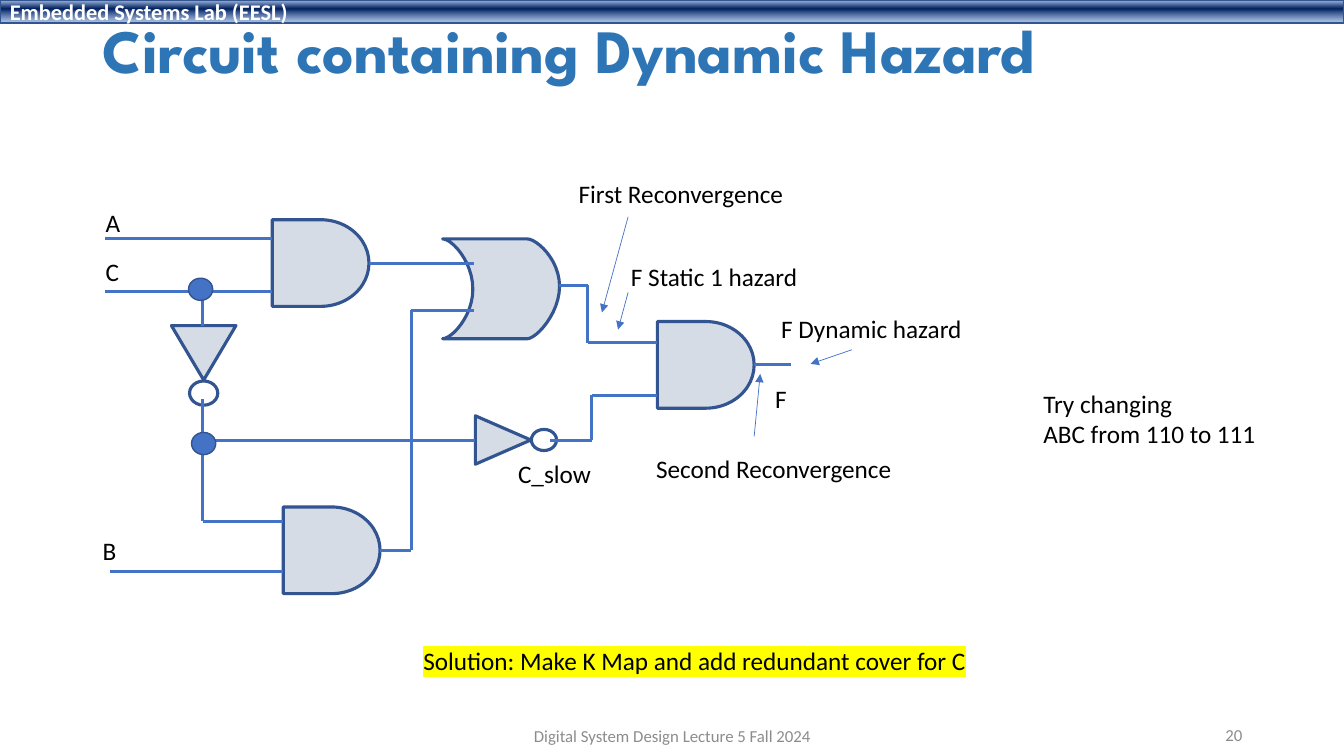
from lxml import etree
from pptx import Presentation
from pptx import util as u
from pptx.dml.color import RGBColor
from pptx.enum import shapes, text
from pptx.oxml.ns import qn

THEME = {
    "body_font": "Calibri", "title_font": "League Spartan",
    "title": "2E75B6", "ink": "000000", "muted": "8C8C8C", "paper": "FFFFFF",
    "wire": "4472C4", "outline": "325491", "gate": "D6DCE5", "mark": "FFFF00",
    "title_size": 44, "header_size": 16, "label_size": 18, "footer_size": 12,
    "gate_line": 2.25, "thin_line": 1, "arrow_line": 0.5,
    "header_stops": [(2, "ABC0E4", 100), (38, "002060", 100), (93, "7E9ED6", 64)],
}

HEADER = "Embedded Systems Lab (EESL)"
TITLE = ("Circuit containing Dynamic Hazard", (0.92, 0.15, 11.5, 0.77))
FOOTERS = [
    ("20", (9.42, 7.09, 3, 0.4), text.PP_ALIGN.RIGHT),
    ("Digital System Design Lecture 5 Fall 2024", (4.42, 7.1, 4.5, 0.4), text.PP_ALIGN.CENTER),
]
LABELS = [
    ("A", (0.95, 2.01, 0.34, 0.4)),
    ("C", (0.95, 2.49, 0.34, 0.4)),
    ("B", (0.92, 5.26, 0.34, 0.4)),
    ("F", (7.59, 3.75, 0.32, 0.4)),
    ("C_slow", (5.04, 4.5, 0.93, 0.4)),
    ("F Static 1 hazard", (6.16, 2.54, 1.87, 0.4)),
    ("F Dynamic hazard", (7.65, 3.06, 2.01, 0.4)),
    ("First Reconvergence", (5.64, 1.72, 2.25, 0.4)),
    ("Second Reconvergence", (6.41, 4.45, 2.56, 0.4)),
    ("Try changing\nABC from 110 to 111", (10.25, 3.8, 2.33, 0.71)),
]
SOLUTION = ("Solution: Make K Map and add redundant cover for C", (4.1, 6.35, 5.65, 0.4))

AND_SIZE = (0.96, 0.86)
AND_GATES = {"AC": (2.7, 2.18), "BC": (2.81, 5.03), "F": (6.52, 3.19)}
OR_START = (5.23, 3.36)
OR_SEGMENTS = [
    [(4.39, 3.36)],
    [(4.48, 3.36), (4.69, 3.14), (4.69, 2.87)],
    [(4.69, 2.59), (4.48, 2.37), (4.39, 2.37)],
    [(5.23, 2.37)],
    [(5.32, 2.37), (5.55, 2.57), (5.55, 2.84)],
    [(5.55, 3.11), (5.32, 3.36), (5.23, 3.36)],
]
INVERTERS = [((4.75, 4.09, 0.48, 0.55), 90), ((1.7, 3.23, 0.64, 0.54), 180)]
BUBBLES = [(5.27, 4.26, 0.25, 0.21), (1.88, 3.78, 0.28, 0.24)]
JUNCTIONS = [(1.87, 2.76, 0.24, 0.22), (1.9, 4.29, 0.24, 0.22)]

WIRES = [
    [(1.04, 2.37), (2.7, 2.37)],
    [(1.04, 2.89), (2.7, 2.89)],
    [(1.09, 5.67), (2.81, 5.67)],
    [(2.01, 2.9), (2.01, 3.23)],
    [(2.01, 3.96), (2.01, 5.17), (2.81, 5.17)],
    [(2.02, 4.37), (4.71, 4.37)],
    [(5.46, 4.37), (5.87, 4.37), (5.87, 3.92), (6.52, 3.92)],
    [(5.54, 2.83), (5.83, 2.83), (5.83, 3.4), (6.52, 3.4)],
    ["AC", (4.7, 2.61)],
    ["BC", (4.08, 5.46), (4.08, 3.08), (4.7, 3.08)],
    ["F", (7.85, 3.62)],
]
ARROWS = [
    [(6.23, 2.9), (6.13, 3.27)],
    [(8.45, 3.47), (8.04, 3.61)],
    [(6.23, 2.15), (5.97, 3.1)],
    [(7.48, 4.33), (7.54, 3.71)],
]


def inches(values):
    return [u.Inches(value) for value in values]


def set_all(target, values):
    for name, value in values.items():
        setattr(target, name, value)


def color(name):
    return RGBColor.from_string(THEME[name])


def write(shape, content, size, ink, font="body_font", bold=False, wrap=True,
          anchor=text.MSO_ANCHOR.MIDDLE, align=text.PP_ALIGN.LEFT, spacing=1.0):
    frame = shape.text_frame
    frame.text = content
    set_all(frame, {"word_wrap": wrap, "vertical_anchor": anchor})
    for paragraph in frame.paragraphs:
        set_all(paragraph, {"alignment": align, "line_spacing": spacing})
        for run in paragraph.runs:
            set_all(run.font, {"name": THEME[font], "size": u.Pt(THEME[size]), "bold": bold})
            run.font.color.rgb = color(ink)


def add_text(slide, content, box, *style, **options):
    shape = slide.shapes.add_textbox(*inches(box))
    write(shape, content, *style, **options)
    return shape


def add_label(slide, content, box):
    return add_text(slide, content, box, "label_size", "ink", wrap=False,
                    anchor=text.MSO_ANCHOR.TOP)


def paint(shape, fill, width="gate_line"):
    shape.shadow.inherit = False
    if fill:
        shape.fill.solid()
        shape.fill.fore_color.rgb = color(fill)
    else:
        shape.fill.background()
    shape.line.color.rgb = color("outline")
    shape.line.width = u.Pt(THEME[width])


def add_part(slide, preset, box, fill, width="gate_line", rotation=0):
    shape = slide.shapes.add_shape(preset, *inches(box))
    shape.rotation = rotation
    paint(shape, fill, width)
    return shape


def add_header(slide, width):
    header = add_part(slide, shapes.MSO_SHAPE.RECTANGLE, (0, 0, width, 0.23), "wire", "thin_line")
    solid = header._element.spPr.find(qn("a:solidFill"))
    gradient = etree.Element(qn("a:gradFill"), rotWithShape="1")
    stops = etree.SubElement(gradient, qn("a:gsLst"))
    for position, value, opacity in THEME["header_stops"]:
        stop = etree.SubElement(stops, qn("a:gs"), pos=str(position * 1000))
        shade = etree.SubElement(stop, qn("a:srgbClr"), val=value)
        etree.SubElement(shade, qn("a:alpha"), val=str(opacity * 1000))
    etree.SubElement(gradient, qn("a:lin"), ang="5400000", scaled="0")
    solid.getparent().replace(solid, gradient)
    write(header, HEADER, "header_size", "paper", bold=True)


def or_outline(steps=12):
    points, start = [], OR_START
    for segment in OR_SEGMENTS:
        if len(segment) == 1:
            points.append(segment[0])
        else:
            curve = [start, *segment]
            for step in range(1, steps + 1):
                t = step / steps
                weights = ((1 - t) ** 3, 3 * t * (1 - t) ** 2, 3 * t * t * (1 - t), t ** 3)
                points.append(tuple(sum(w * p[axis] for w, p in zip(weights, curve))
                                    for axis in (0, 1)))
        start = segment[-1]
    return points


def add_or_gate(slide):
    builder = slide.shapes.build_freeform(*inches(OR_START))
    builder.add_line_segments([inches(point) for point in or_outline()], close=True)
    paint(builder.convert_to_shape(), "gate")


def add_line(slide, begin, end, width, gates, arrow=False):
    start = end if begin in gates else begin
    connector = slide.shapes.add_connector(shapes.MSO_CONNECTOR.STRAIGHT, *inches(start + end))
    if begin in gates:
        connector.begin_connect(gates[begin], 3)
    connector.line.color.rgb = color("wire")
    connector.line.width = u.Pt(THEME[width])
    properties = connector._element.spPr
    if arrow:
        etree.SubElement(properties.find(qn("a:ln")), qn("a:tailEnd"), type="triangle")
    etree.SubElement(properties, qn("a:effectLst"))


def add_circuit(slide):
    preset = shapes.MSO_SHAPE
    gates = {name: add_part(slide, preset.FLOWCHART_DELAY, corner + AND_SIZE, "gate")
             for name, corner in AND_GATES.items()}
    add_or_gate(slide)
    for box, rotation in INVERTERS:
        add_part(slide, preset.ISOSCELES_TRIANGLE, box, "gate", rotation=rotation)
    for box in BUBBLES:
        add_part(slide, preset.OVAL, box, None)
    for wire in WIRES:
        for begin, end in zip(wire, wire[1:]):
            add_line(slide, begin, end, "gate_line", gates)
    for begin, end in ARROWS:
        add_line(slide, begin, end, "arrow_line", gates, arrow=True)
    for box in JUNCTIONS:
        add_part(slide, preset.OVAL, box, "wire", "thin_line")


def main():
    presentation = Presentation()
    set_all(presentation, {"slide_width": u.Inches(13.33), "slide_height": u.Inches(7.5)})
    slide = presentation.slides.add_slide(presentation.slide_layouts[6])
    add_header(slide, 13.33)
    add_text(slide, *TITLE, "title_size", "title", font="title_font", bold=True, spacing=0.9)
    add_circuit(slide)
    for content, box in LABELS:
        add_label(slide, content, box)
    solution = add_label(slide, *SOLUTION)
    run = solution.text_frame.paragraphs[0].runs[0]
    highlight = etree.Element(qn("a:highlight"))
    etree.SubElement(highlight, qn("a:srgbClr"), val=THEME["mark"])
    run._r.rPr.find(qn("a:solidFill")).addnext(highlight)
    for content, box, align in FOOTERS:
        add_text(slide, content, box, "footer_size", "muted", align=align)
    presentation.save("out.pptx")


if __name__ == "__main__":
    main()
